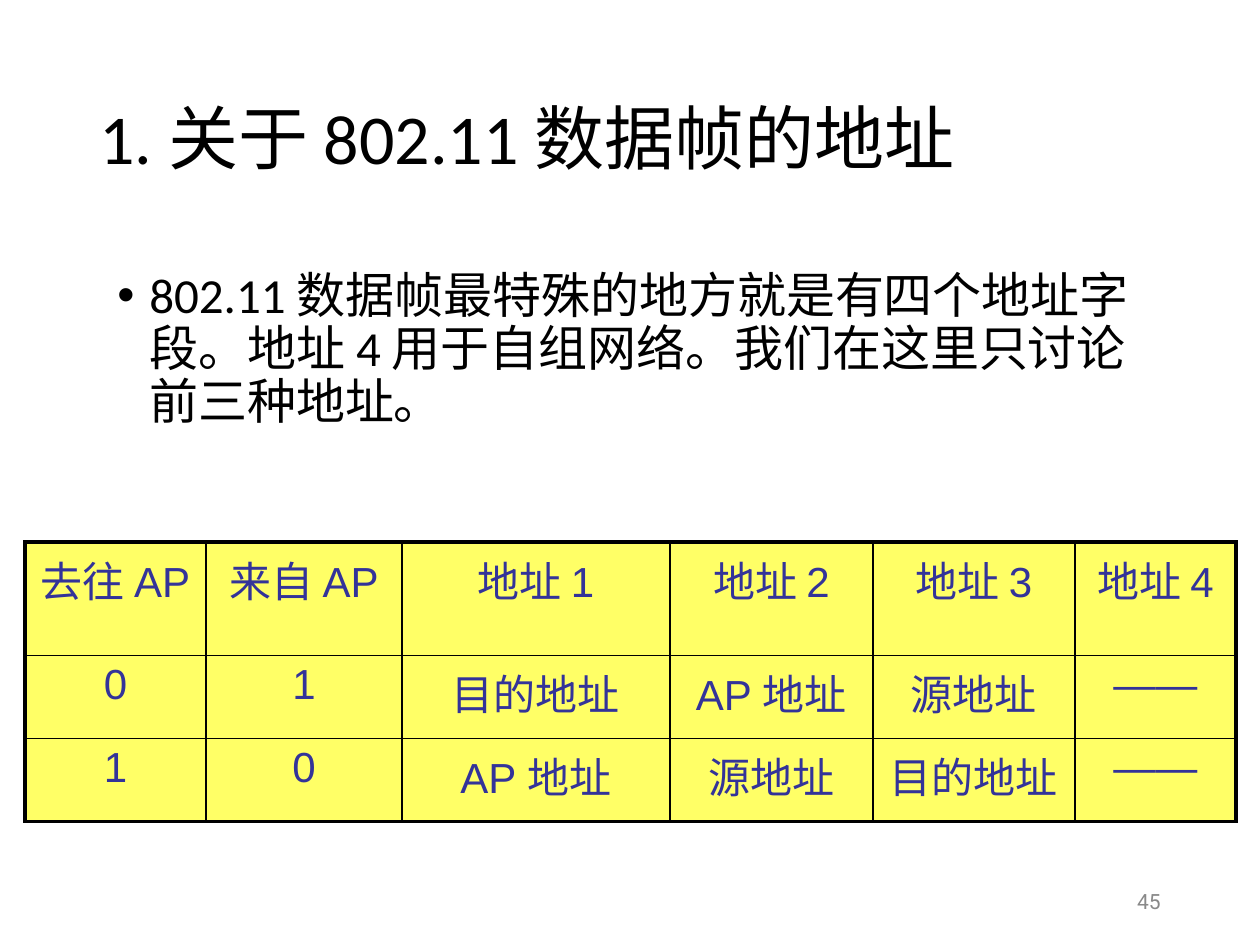
from dataclasses import dataclass

from lxml.etree import SubElement
from pptx import Presentation
from pptx.dml.color import RGBColor
from pptx.enum.text import MSO_ANCHOR as Anchor, PP_ALIGN as Align
from pptx.oxml import parse_xml
from pptx.oxml.ns import nsdecls, qn
from pptx.util import Emu, Pt

PX_PER_INCH = 126
INK, CELL_INK, CELL_FILL = "000000", "333399", "FFFF66"
OUTER_PT, INNER_PT = 2.25, 1


@dataclass(frozen=True)
class TextBlock:
    text: str
    left: int
    top: int
    width: int
    height: int
    size: int
    font: str = "Calibri"
    color: str = INK
    anchor: Anchor = Anchor.TOP
    align: Align = Align.LEFT
    line_spacing: float = 0.9
    bullet: str = ""
    indent: int = 0


def px(length: int) -> Emu:
    return Emu(round(length * 914400 / PX_PER_INCH))


def rgb(color: str) -> RGBColor:
    return RGBColor.from_string(color)


def style_runs(paragraph, size: int, font: str, color: str) -> None:
    for run in paragraph.runs:
        run.font.size = Pt(size)
        run.font.name = font
        run.font.color.rgb = rgb(color)


def draw_text(slide, block: TextBlock) -> None:
    box = slide.shapes.add_textbox(
        px(block.left), px(block.top), px(block.width), px(block.height)
    )
    frame = box.text_frame
    frame.word_wrap = True
    frame.vertical_anchor = block.anchor
    frame.text = block.text
    paragraph = frame.paragraphs[0]
    if block.bullet:
        props = paragraph._p.get_or_add_pPr()
        props.set("marL", str(px(block.indent)))
        props.set("indent", str(-px(block.indent)))
        SubElement(props, qn("a:buFont")).set("typeface", "Arial")
        SubElement(props, qn("a:buChar")).set("char", block.bullet)
    paragraph.alignment = block.align
    paragraph.line_spacing = block.line_spacing
    style_runs(paragraph, block.size, block.font, block.color)


def set_borders(cell, widths: dict[str, float]) -> None:
    props = cell._tc.get_or_add_tcPr()
    for position, (side, width) in enumerate(widths.items()):
        line = parse_xml(
            f'<a:ln{side} {nsdecls("a")} w="{Pt(width)}"><a:solidFill>'
            f'<a:srgbClr val="{INK}"/></a:solidFill></a:ln{side}>'
        )
        props.insert(position, line)


def draw_table(slide, left: int, top: int, columns: list[int],
               row_height: int, rows: list[list[str]]) -> None:
    table = slide.shapes.add_table(
        len(rows), len(columns), px(left), px(top),
        px(sum(columns)), px(row_height * len(rows))
    ).table
    for column, width in zip(table.columns, columns):
        column.width = px(width)
    last_row, last_column = len(rows) - 1, len(columns) - 1
    for r, labels in enumerate(rows):
        table.rows[r].height = px(row_height)
        for c, label in enumerate(labels):
            cell = table.cell(r, c)
            cell.fill.solid()
            cell.fill.fore_color.rgb = rgb(CELL_FILL)
            outer = {"L": c == 0, "R": c == last_column,
                     "T": r == 0, "B": r == last_row}
            set_borders(cell, {side: OUTER_PT if edge else INNER_PT
                               for side, edge in outer.items()})
            cell.text_frame.text = label
            paragraph = cell.text_frame.paragraphs[0]
            paragraph.alignment = Align.CENTER
            style_runs(paragraph, 24, "Arial", CELL_INK)
            for run in paragraph.runs:
                run.font.bold = False


TITLE = TextBlock("1. 关于 802.11 数据帧的地址", 87, 50, 1086, 183, 40,
                  anchor=Anchor.MIDDLE)
BODY = TextBlock(
    "802.11 数据帧最特殊的地方就是有四个地址字段。地址 4 用于自组网络。我们在这里只讨论前三种地址。",
    105, 265, 1071, 198, 28, bullet="•", indent=32)
PAGE_NUMBER = TextBlock("45", 890, 876, 283, 50, 12, font="Roboto", color="898989",
                        anchor=Anchor.MIDDLE, align=Align.RIGHT, line_spacing=1.0)

ADDRESS_COLUMNS = [181, 196, 268, 203, 202, 161]
ADDRESS_ROWS = [
    ["去往 AP", "来自 AP", "地址 1", "地址 2", "地址 3", "地址 4"],
    ["0", "1", "目的地址", "AP 地址", "源地址", "——"],
    ["1", "0", "AP 地址", "源地址", "目的地址", "——"],
]


def main() -> None:
    deck = Presentation()
    deck.slide_width, deck.slide_height = px(1260), px(945)
    slide = deck.slides.add_slide(deck.slide_layouts[6])
    slide.background.fill.solid()
    slide.background.fill.fore_color.rgb = rgb("FFFFFF")
    for block in (TITLE, BODY):
        draw_text(slide, block)
    draw_table(slide, 25, 542, ADDRESS_COLUMNS, 83, ADDRESS_ROWS)
    draw_text(slide, PAGE_NUMBER)
    deck.save("out.pptx")


if __name__ == "__main__":
    main()
